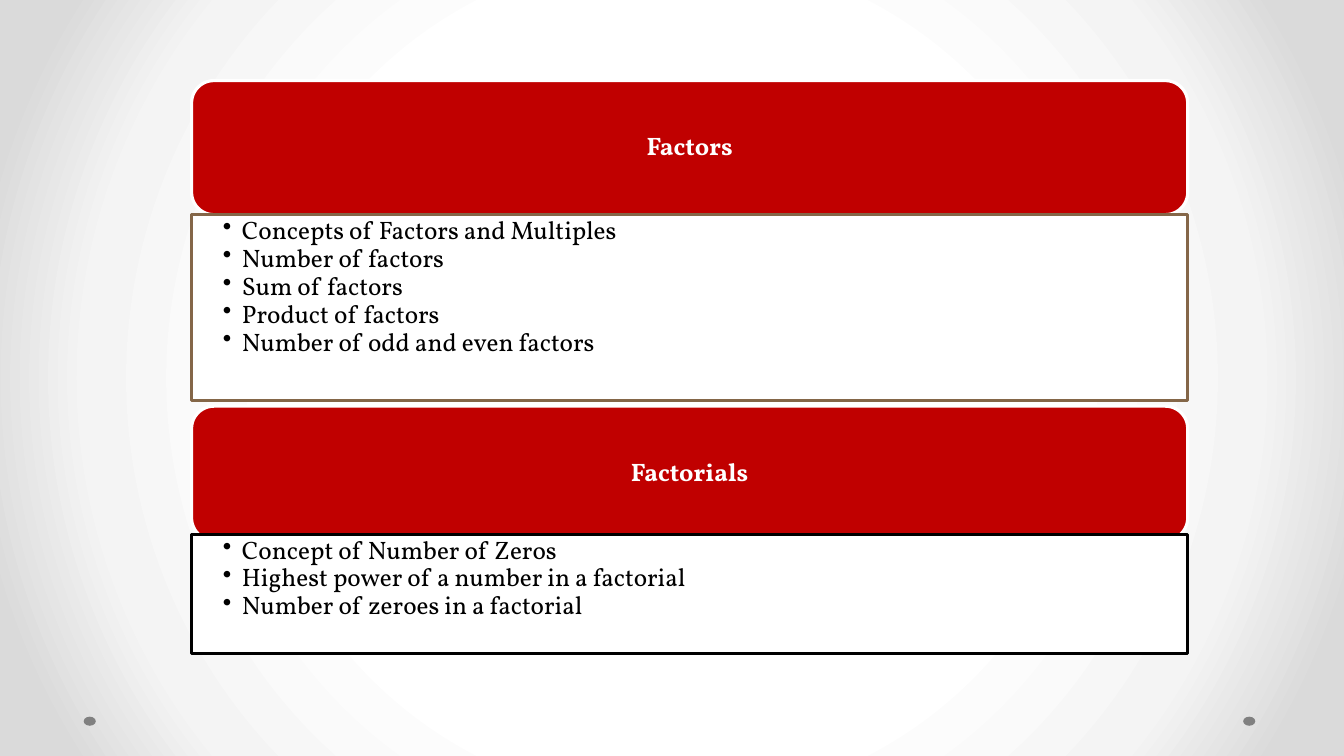
from dataclasses import dataclass

from pptx import Presentation
from pptx.dml.color import RGBColor
from pptx.enum.shapes import MSO_SHAPE as Shape
from pptx.enum.text import MSO_ANCHOR as Anchor, PP_ALIGN as Align
from pptx.oxml import parse_xml
from pptx.oxml.ns import nsdecls
from pptx.util import Inches, Pt


@dataclass(frozen=True)
class Theme:
    """Colours and type sizes of the slide."""
    font: str = "Vollkorn"
    size: int = 18
    line: float = 2.25
    red: str = "C00000"
    white: str = "FFFFFF"
    black: str = "000000"
    brown: str = "846648"
    grey: str = "808080"
    glow: tuple = ((50, "FFFFFF"), (76, "F4F4F4"), (92, "DADADA"))


THEME = Theme()
LEFT, WIDTH, HEADER_HEIGHT = 1.9, 9.88, 1.33
TOPICS = [
    ("Factors", 0.8, 2.13, 1.84, THEME.brown, [
        "Concepts of Factors and Multiples", "Number of factors", "Sum of factors",
        "Product of factors", "Number of odd and even factors"]),
    ("Factorials", 4.03, 5.3, 1.18, THEME.black, [
        "Concept of Number of Zeros", "Highest power of a number in a factorial",
        "Number of zeroes in a factorial"]),
]


def paint_background(slide):
    """Fill the slide with a radial glow."""
    stops = "".join(f'<a:gs pos="{pos * 1000}"><a:srgbClr val="{color}"/></a:gs>'
                    for pos, color in THEME.glow)
    slide.element.cSld.insert(0, parse_xml(
        f'<p:bg {nsdecls("p", "a")}><p:bgPr><a:gradFill rotWithShape="1">'
        f'<a:gsLst>{stops}</a:gsLst><a:path path="circle">'
        '<a:fillToRect l="50000" t="50000" r="50000" b="50000"/></a:path>'
        '</a:gradFill><a:effectLst/></p:bgPr></p:bg>'))


def add_panel(slide, kind, box, fill, outline=None):
    """Add a flat shape in the box, with an optional outline."""
    panel = slide.shapes.add_shape(kind, *map(Inches, box))
    panel.shadow.inherit = False
    panel.fill.solid()
    panel.fill.fore_color.rgb = RGBColor.from_string(fill)
    if outline:
        panel.line.color.rgb = RGBColor.from_string(outline)
        panel.line.width = Pt(THEME.line)
    else:
        panel.line.fill.background()
    return panel


def set_frame(panel, anchor, left, top, right, bottom):
    """Set wrapping, anchor and insets, and return the text frame."""
    frame = panel.text_frame
    frame.word_wrap = True
    frame.vertical_anchor = anchor
    frame.margin_left, frame.margin_top = Inches(left), Inches(top)
    frame.margin_right, frame.margin_bottom = Inches(right), Inches(bottom)
    return frame


def write(paragraph, text, color, align, bold=False):
    """Write one styled run into a paragraph."""
    paragraph.alignment = align
    paragraph.line_spacing = 0.9
    run = paragraph.add_run()
    run.text = text
    run.font.name, run.font.size, run.font.bold = THEME.font, Pt(THEME.size), bold
    run.font.color.rgb = RGBColor.from_string(color)


def add_header(slide, box, heading):
    """Add a red rounded header with its centred heading."""
    header = add_panel(slide, Shape.ROUNDED_RECTANGLE, box, THEME.red, THEME.white)
    frame = set_frame(header, Anchor.MIDDLE, 0.07, 0.07, 0.07, 0.07)
    write(frame.paragraphs[0], heading, THEME.white, Align.CENTER, bold=True)


def add_points(slide, box, outline, points):
    """Add an outlined white panel with a bulleted list."""
    panel = add_panel(slide, Shape.RECTANGLE, box, THEME.white, outline)
    frame = set_frame(panel, Anchor.TOP, 0.31, 0.03, 0.14, 0.03)
    for index, point in enumerate(points):
        paragraph = frame.add_paragraph() if index else frame.paragraphs[0]
        properties = paragraph._p.get_or_add_pPr()
        properties.set("marL", str(Inches(0.19)))
        properties.set("indent", str(-Inches(0.19)))
        properties.append(parse_xml(f'<a:buChar {nsdecls("a")} char="•"/>'))
        paragraph.space_after = Pt(0.5)
        write(paragraph, point, THEME.black, Align.LEFT)


def main():
    """Build and save the slide."""
    deck = Presentation()
    deck.slide_width, deck.slide_height = Inches(13.33), Inches(7.5)
    slide = deck.slides.add_slide(deck.slide_layouts[6])
    paint_background(slide)
    for dot_left in (12.33, 0.83):
        add_panel(slide, Shape.OVAL, (dot_left, 7.11, 0.12, 0.09), THEME.grey)
    for heading, header_top, list_top, list_height, outline, points in TOPICS:
        add_header(slide, (LEFT, header_top, WIDTH, HEADER_HEIGHT), heading)
        add_points(slide, (LEFT, list_top, WIDTH, list_height), outline, points)
    deck.save("out.pptx")


if __name__ == "__main__":
    main()
